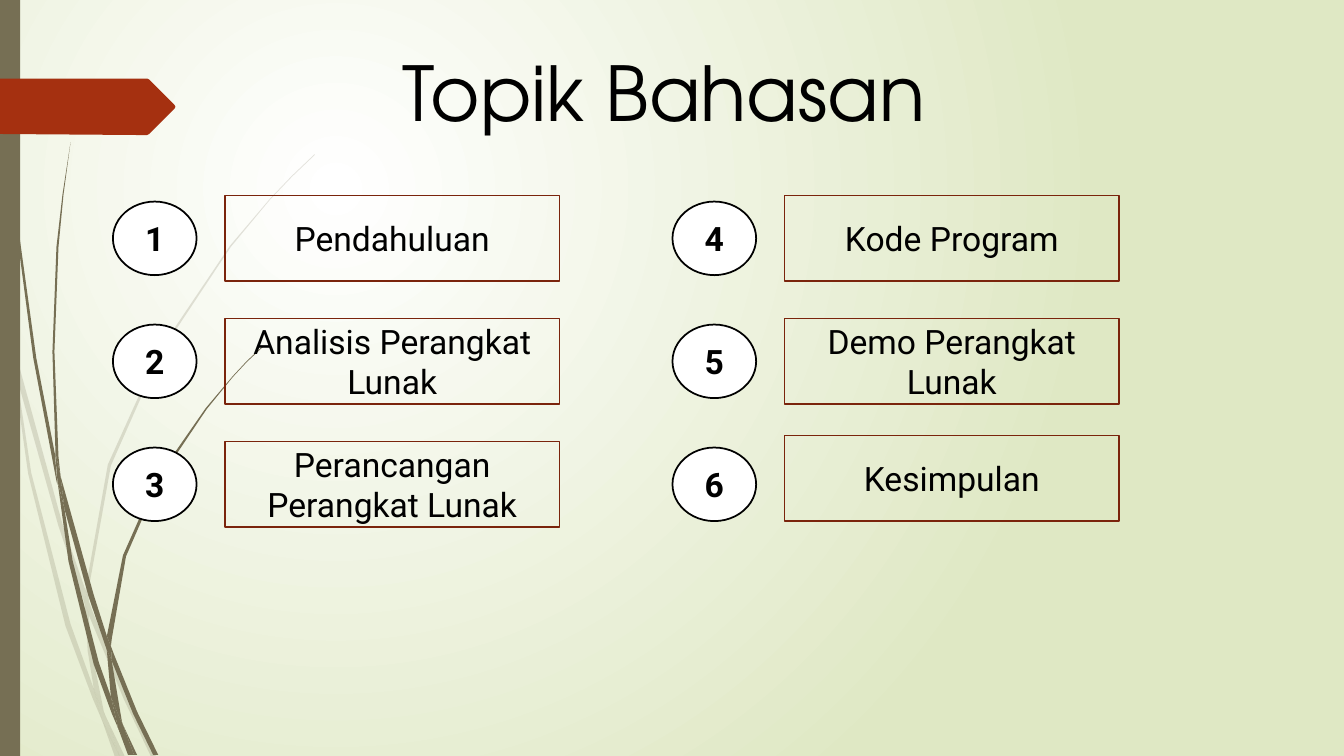
from dataclasses import dataclass

from lxml import etree
from pptx import Presentation
from pptx.dml.color import RGBColor
from pptx.enum.shapes import MSO_SHAPE
from pptx.enum.text import MSO_ANCHOR, PP_ALIGN
from pptx.oxml.ns import qn
from pptx.util import Pt

RECTANGLE = MSO_SHAPE.RECTANGLE
OVAL = MSO_SHAPE.OVAL
MIDDLE, TOP = MSO_ANCHOR.MIDDLE, MSO_ANCHOR.TOP
CENTER, LEFT = PP_ALIGN.CENTER, PP_ALIGN.LEFT

PX = 9144
SLIDE_W, SLIDE_H = 1333, 750


@dataclass(frozen=True)
class Theme:
    glow: str = "FFFFFF"
    field: str = "DFE8C4"
    grass: str = "766F54"
    arrow: str = "A53010"
    frame: str = "7A240C"
    ink: str = "000000"
    badge: str = "FFFFFF"
    title_font: str = "TeX Gyre Adventor"
    body_font: str = "Roboto"
    title_size: int = 54
    body_size: int = 24
    outline: float = 1.25
    faint_alpha: int = 20


THEME = Theme()

FAINT_BLADES = [
    [(11, 350), (9, 322), (0, 282), (0, 299), (10, 344)],
    [(58, 522), (84, 599), (85, 586), (62, 520), (14, 345), (17, 376)],
    [(92, 607), (88, 596), (88, 610), (123, 694), (150, 751), (155, 751), (127, 692)],
    [(119, 751), (124, 751), (105, 711)],
    [(93, 683), (70, 619), (31, 469), (17, 376), (11, 350), (28, 470), (65, 621),
     (92, 693), (101, 714), (99, 707)],
    [(84, 599), (87, 646), (93, 683), (96, 692), (105, 711), (103, 706), (91, 646),
     (88, 610), (88, 608)],
    [(88, 584), (110, 462), (160, 349), (229, 245), (268, 198), (290, 175), (312, 154),
     (312, 153), (289, 175), (268, 197), (228, 244), (158, 348), (107, 461), (85, 584),
     (85, 586), (88, 596)],
    [(101, 714), (114, 751), (119, 751)],
    [(88, 608), (88, 610), (88, 596), (85, 586), (84, 599)],
    [(96, 692), (93, 683), (99, 707), (101, 714), (119, 751), (105, 711)],
]
DARK_BLADES = [
    [(7, 110), (17, 233), (33, 355), (56, 477), (57, 481), (55, 457), (55, 453),
     (36, 355), (19, 232), (8, 109), (5, 48), (4, 0), (3, 0), (4, 48)],
    [(88, 592), (106, 645), (106, 633), (106, 631), (93, 590), (60, 472), (64, 505)],
    [(113, 649), (110, 641), (111, 656), (132, 708), (152, 749), (157, 749), (136, 706)],
    [(110, 691), (98, 657), (72, 556), (64, 505), (57, 477), (68, 557), (93, 659),
     (111, 708), (117, 722), (116, 717)],
    [(60, 472), (58, 453), (54, 349), (58, 245), (63, 193), (70, 141), (62, 193),
     (56, 245), (52, 349), (55, 449)],
    [(133, 749), (136, 749), (122, 719)],
    [(57, 477), (64, 505), (60, 472), (55, 449), (55, 453)],
    [(111, 633), (125, 552), (158, 476), (205, 406), (231, 374), (245, 359), (261, 344),
     (260, 344), (245, 358), (231, 373), (204, 405), (156, 474), (122, 551), (106, 631),
     (110, 641)],
    [(117, 722), (127, 749), (131, 749)],
    [(106, 645), (110, 691), (116, 706), (122, 719), (121, 716), (111, 656), (109, 651)],
    [(106, 645), (109, 651), (111, 656), (110, 641), (106, 631), (106, 633)],
    [(116, 706), (110, 691), (116, 717), (117, 722), (130, 749), (133, 749), (122, 719)],
]
ARROW = [(173, 108), (148, 133), (146, 134), (136, 134), (0, 133), (0, 78), (136, 78),
         (146, 78), (148, 79), (173, 104), (174, 106)]

TOPIC_COLUMNS = [
    [("Pendahuluan", 0), ("Analisis Perangkat Lunak", 0), ("Perancangan Perangkat Lunak", 0)],
    [("Kode Program", 0), ("Demo Perangkat Lunak", 0), ("Kesimpulan", 6)],
]


def emu(*lengths):
    return [length * PX for length in lengths]


def rgb(color):
    return RGBColor.from_string(color)


def style(shape, fill=None, line=None):
    shape.shadow.inherit = False
    if fill:
        shape.fill.solid()
        shape.fill.fore_color.rgb = rgb(fill)
    else:
        shape.fill.background()
    if line:
        shape.line.color.rgb = rgb(line)
        shape.line.width = Pt(THEME.outline)
    else:
        shape.line.fill.background()


def write(shape, text, font=THEME.body_font, size=THEME.body_size, bold=False,
          align=CENTER, anchor=MIDDLE):
    frame = shape.text_frame
    frame.word_wrap = True
    frame.vertical_anchor = anchor
    paragraph = frame.paragraphs[0]
    paragraph.alignment = align
    run = paragraph.add_run()
    run.text = text
    run.font.name = font
    run.font.size = Pt(size)
    run.font.bold = bold
    run.font.color.rgb = rgb(THEME.ink)


def add_block(slide, kind, box, fill=None, line=None):
    block = slide.shapes.add_shape(kind, *emu(*box))
    style(block, fill, line)
    return block


def add_outline(slide, origin, points, fill, alpha=None):
    left, top = origin
    corners = [emu(left + x, top + y) for x, y in points]
    builder = slide.shapes.build_freeform(*corners[0], scale=1.0)
    builder.add_line_segments(corners[1:], close=True)
    outline = builder.convert_to_shape()
    style(outline, fill)
    if alpha:
        color = outline._element.spPr.find(qn("a:solidFill"))[0]
        etree.SubElement(color, qn("a:alpha"), val=str(alpha * 1000))


def draw_background(slide):
    fill = slide.background.fill
    fill.gradient()
    for stop, color, position in zip(fill.gradient_stops, (THEME.glow, THEME.field), (0, 1)):
        stop.color.rgb = rgb(color)
        stop.position = position
    gradient = slide._element.find(".//" + qn("a:gradFill"))
    circle = etree.Element(qn("a:path"), {"path": "circle"})
    etree.SubElement(circle, qn("a:fillToRect"), l="50000", t="50000", r="100000", b="100000")
    gradient.replace(gradient.find(qn("a:lin")), circle)


def draw_side_decor(slide, box):
    left, top, height = box
    for blade in FAINT_BLADES:
        add_outline(slide, (left, top), blade, THEME.grass, THEME.faint_alpha)
    for blade in DARK_BLADES:
        add_outline(slide, (left, top), blade, THEME.grass)
    add_block(slide, RECTANGLE, (left, top, 20, height), fill=THEME.grass)
    add_outline(slide, (left, top), ARROW, THEME.arrow)


def draw_title(slide, box):
    title = slide.shapes.add_textbox(*emu(*box))
    write(title, "Topik Bahasan", font=THEME.title_font, size=THEME.title_size,
          align=LEFT, anchor=TOP)


def draw_topic(slide, box, number, topic, lift):
    left, top, width, height = box
    badge = add_block(slide, OVAL, (left, top + 6, 83, 73), THEME.badge, THEME.ink)
    write(badge, str(number), bold=True)
    label = add_block(slide, RECTANGLE, (left + 111, top - lift, width - 111, height),
                      line=THEME.frame)
    write(label, topic)


def draw_topics(slide, box):
    left, top = box
    number = 0
    for column, topics in enumerate(TOPIC_COLUMNS):
        for row, (topic, lift) in enumerate(topics):
            number += 1
            draw_topic(slide, (left + 555 * column, top + 122 * row, 443, 85),
                       number, topic, lift)


def main():
    deck = Presentation()
    deck.slide_width, deck.slide_height = emu(SLIDE_W, SLIDE_H)
    slide = deck.slides.add_slide(deck.slide_layouts[6])
    draw_background(slide)
    draw_side_decor(slide, (0, 0, SLIDE_H))
    draw_title(slide, (389, 41, 554, 101))
    draw_topics(slide, (112, 194))
    deck.save("out.pptx")


if __name__ == "__main__":
    main()
